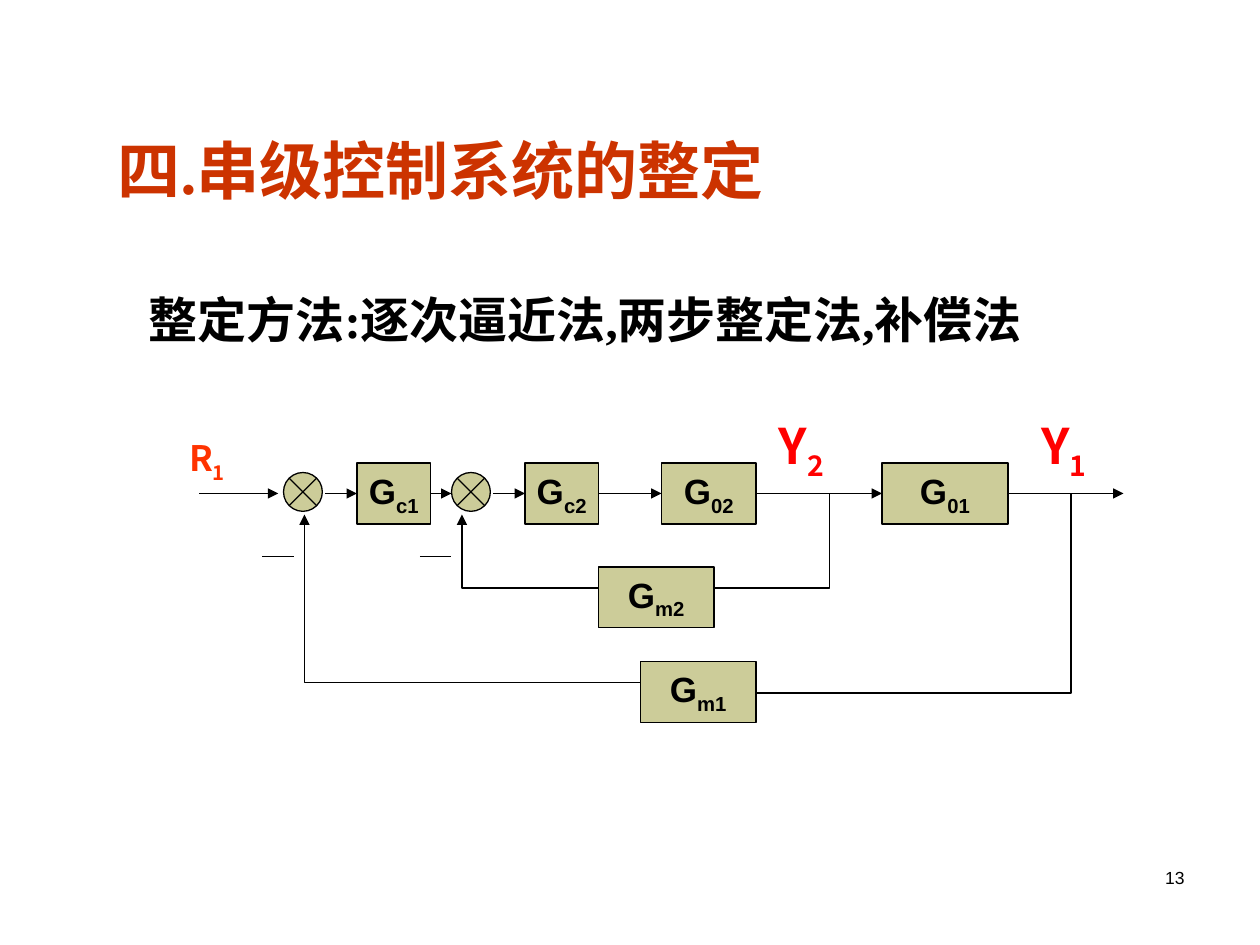
"""Build the cascade control tuning slide with its block diagram."""
import pptx
import pptx.dml.color
import pptx.enum.shapes
import pptx.enum.text
import pptx.oxml.ns
import pptx.util
from lxml import etree

PX = 7620
AXIS = 470
BOX_H = 58
CJK = "Noto Sans CJK SC"
SERIF = "Times New Roman"
BLACK = pptx.dml.color.RGBColor(0x00, 0x00, 0x00)
WHITE = pptx.dml.color.RGBColor(0xFF, 0xFF, 0xFF)
KHAKI = pptx.dml.color.RGBColor(0xCC, 0xCC, 0x99)
RUST = pptx.dml.color.RGBColor(0xCC, 0x33, 0x00)
ORANGE = pptx.dml.color.RGBColor(0xFF, 0x33, 0x00)
RED = pptx.dml.color.RGBColor(0xFF, 0x00, 0x00)
SHAPE = pptx.enum.shapes.MSO_SHAPE
ALIGN = pptx.enum.text.PP_ALIGN
qn = pptx.oxml.ns.qn


def px(*values):
    """Turn px lengths into EMU."""
    return [pptx.util.Emu(v * PX) for v in values]


def write(sp, text, size, color, font, sub="", align=ALIGN.LEFT, bold=True, inset=12):
    """Put one formatted paragraph, with an optional subscript, in a shape."""
    tf = sp.text_frame
    tf.word_wrap = True
    tf.auto_size = pptx.enum.text.MSO_AUTO_SIZE.NONE
    tf.vertical_anchor = pptx.enum.text.MSO_ANCHOR.TOP
    tf.margin_left, tf.margin_right, tf.margin_top, tf.margin_bottom = px(inset, inset, 6, 6)
    p = tf.paragraphs[0]
    p.text = text
    p.alignment = align
    p.line_spacing = 1.0
    p.space_before = pptx.util.Pt(0)
    if sub:
        r = p.add_run()
        r.text = sub
        r.font._element.set("baseline", "-25000")
    for r in p.runs:
        r.font.size = pptx.util.Pt(size)
        r.font.bold = bold
        r.font.name = font
        r.font.color.rgb = color
        etree.SubElement(r.font._element, qn("a:ea")).set("typeface", CJK)


def add_text(s, at, *args, **kwargs):
    """Add a text box."""
    write(s.shapes.add_textbox(*px(*at)), *args, **kwargs)


def outline(sp, arrow=False):
    """Give a shape or connector a thin black line."""
    sp.line.color.rgb = BLACK
    sp.line.width = pptx.util.Pt(0.75)
    if arrow:
        etree.SubElement(sp.line._get_or_add_ln(), qn("a:tailEnd")).set("type", "triangle")


def add_node(s, kind, *at):
    """Add a khaki shape with a black outline."""
    sp = s.shapes.add_shape(kind, *px(*at))
    sp.shadow.inherit = False
    sp.fill.solid()
    sp.fill.fore_color.rgb = KHAKI
    outline(sp)
    return sp


def add_block(s, sub, x, y, w):
    """Add a transfer function block."""
    sp = add_node(s, SHAPE.RECTANGLE, x, y, w, BOX_H)
    write(sp, "G", 20, BLACK, "Arial", sub, ALIGN.CENTER, inset=0)
    return sp


def add_line(s, x1, x2, y=AXIS, start=None, end=None, arrow=True):
    """Add a horizontal line, joined to blocks where given."""
    line = s.shapes.add_connector(pptx.enum.shapes.MSO_CONNECTOR.STRAIGHT, *px(x1, y, x2, y))
    if start:
        line.begin_connect(start, 3)
    if end:
        line.end_connect(end, 1)
    outline(line, arrow)
    etree.SubElement(line._element.spPr, qn("a:effectLst"))


def add_path(s, points, arrow=False):
    """Add an open feedback path."""
    builder = s.shapes.build_freeform(*points[0], scale=PX)
    builder.add_line_segments(points[1:], close=False)
    sp = builder.convert_to_shape()
    sp.shadow.inherit = False
    sp.fill.background()
    outline(sp, arrow)


def add_diagram(s):
    """Draw the two-loop block diagram."""
    top = AXIS - BOX_H // 2
    forward = [("c1", 340, 70), ("c2", 500, 70), ("02", 630, 90), ("01", 840, 120)]
    c1, c2, g02, g01 = [add_block(s, sub, x, top, w) for sub, x, w in forward]
    for x in (270, 430):
        add_node(s, SHAPE.FLOWCHART_SUMMING_JUNCTION, x, 450, 37, 37)

    add_line(s, 190, 265)
    add_line(s, 310, 340, end=c1)
    add_line(s, 410, 430, start=c1)
    add_line(s, 470, 500, end=c2)
    add_line(s, 570, 630, start=c2, end=g02)
    add_line(s, 720, 840, start=g02, end=g01)
    add_line(s, 960, 1070, start=g01)

    add_path(s, [(790, AXIS), (790, 560), (680, 560)])
    add_path(s, [(570, 560), (440, 560), (440, 490)], arrow=True)
    add_path(s, [(1020, AXIS), (1020, 660), (720, 660)])
    add_path(s, [(610, 650), (290, 650), (290, 490)], arrow=True)
    add_block(s, "m2", 570, 540, 110)
    add_block(s, "m1", 610, 630, 110)
    for x in (250, 400):
        add_line(s, x, x + 30, 530, arrow=False)

    add_text(s, (180, 410, 80, 58), "R", 20, ORANGE, CJK, "1", inset=0)
    for sub, x in (("2", 730), ("1", 980)):
        add_text(s, (x, 390, 100, 76), "Y", 28, RED, CJK, sub)


def main():
    """Build and save the slide."""
    prs = pptx.Presentation()
    prs.slide_width, prs.slide_height = px(1200, 900)
    s = prs.slides.add_slide(prs.slide_layouts[5])
    title = s.shapes.title
    title.left, title.top, title.width, title.height = px(100, 119, 1080, 150)
    title.fill.solid()
    title.fill.fore_color.rgb = WHITE
    write(title, "四.串级控制系统的整定", 36, RUST, SERIF)
    add_text(s, (130, 270, 920, 125), "整定方法:逐次逼近法,两步整定法,补偿法", 28, BLACK, SERIF)
    add_diagram(s)
    add_text(s, (890, 820, 250, 60), "13", 10, BLACK, "Arial", align=ALIGN.RIGHT, bold=False)
    prs.save("out.pptx")


if __name__ == "__main__":
    main()
